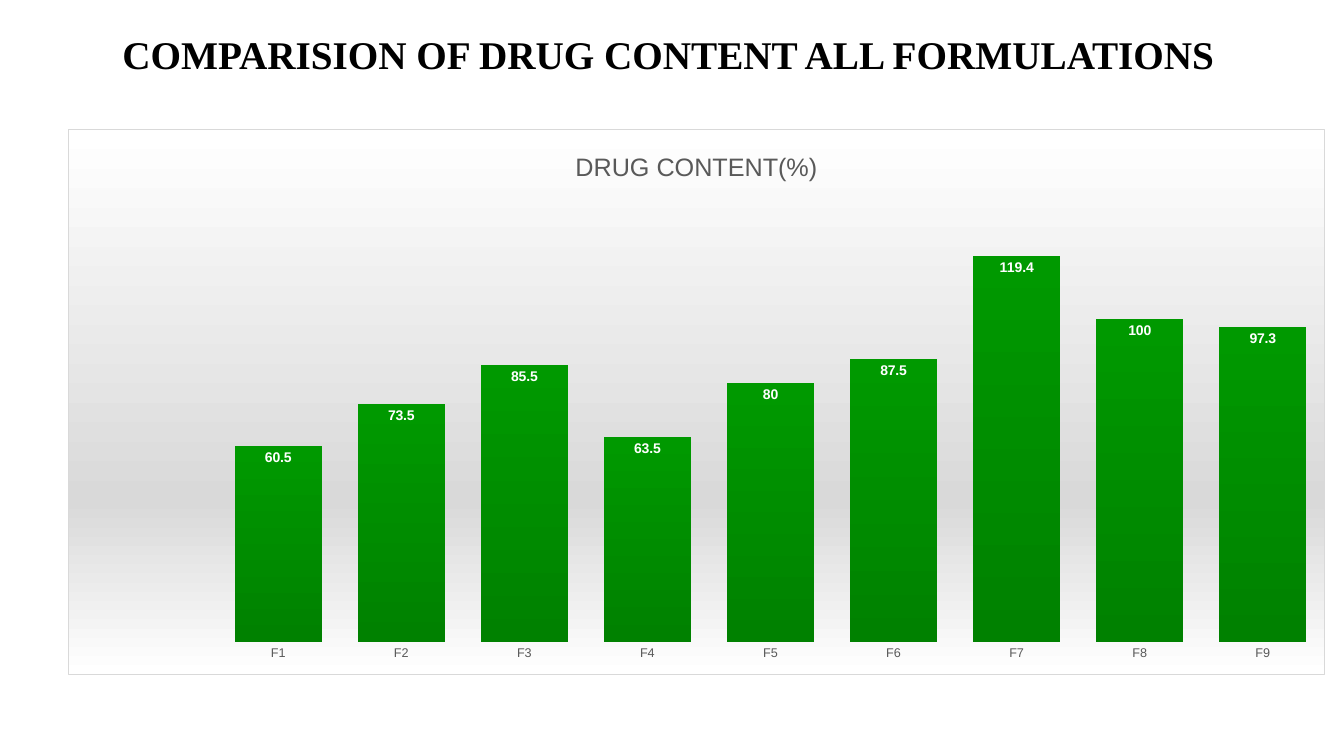
from lxml import etree
from pptx import Presentation
from pptx.chart.data import CategoryChartData
from pptx.dml.color import RGBColor
from pptx.enum.chart import XL_CHART_TYPE, XL_LABEL_POSITION, XL_TICK_MARK
from pptx.enum.text import MSO_ANCHOR, MSO_AUTO_SIZE, PP_ALIGN
from pptx.oxml import parse_xml
from pptx.oxml.ns import nsdecls, qn
from pptx.util import Pt

COLUMNS = XL_CHART_TYPE.COLUMN_CLUSTERED
INSIDE_END = XL_LABEL_POSITION.INSIDE_END
NO_TICK = XL_TICK_MARK.NONE
MIDDLE, CENTER = MSO_ANCHOR.MIDDLE, PP_ALIGN.CENTER
NO_AUTOFIT = MSO_AUTO_SIZE.NONE
WIDTH, HEIGHT = 1344, 756
PX = 12192000 / WIDTH


def style(font, size, color, name="Arial", bold=False):
    font.size, font.name, font.bold = Pt(size), name, bold
    font.color.rgb = RGBColor.from_string(color)


def write(frame, text, **look):
    paragraph = frame.paragraphs[0]
    paragraph.alignment = CENTER
    run = paragraph.add_run()
    run.text = text
    style(run.font, **look)


prs = Presentation()
prs.slide_width, prs.slide_height = round(WIDTH * PX), round(HEIGHT * PX)
slide = prs.slides.add_slide(prs.slide_layouts[5])

# Heading
heading = slide.shapes.title
heading.left, heading.top, heading.width, heading.height = [
    round(n * PX) for n in (68, 21, 1210, 65)]
heading.text_frame.word_wrap = True
heading.text_frame.auto_size = NO_AUTOFIT
heading.text_frame.vertical_anchor = MIDDLE
write(heading.text_frame, "COMPARISION OF DRUG CONTENT ALL FORMULATIONS ",
      size=28, color="000000", name="Times New Roman", bold=True)

# Drug content of each formulation; the first category is blank
contents = [None, 60.5, 73.5, 85.5, 63.5, 80, 87.5, 119.4, 100, 97.3]
drug_data = CategoryChartData()
drug_data.categories = [""] + [f"F{n}" for n in range(1, len(contents))]
drug_data.add_series("DRUG CONTENT(%)", contents)
chart = slide.shapes.add_chart(
    COLUMNS, *[round(n * PX) for n in (68, 129, 1257, 546)], drug_data).chart
style(chart.font, 10, "000000")
chart.has_legend = False
chart.has_title = True
write(chart.chart_title.text_frame, "DRUG CONTENT(%)", size=18, color="595959")
chart.chart_title.include_in_layout = False

# Axes
formulations, percent = chart.category_axis, chart.value_axis
formulations.major_tick_mark = formulations.minor_tick_mark = NO_TICK
formulations.format.line.fill.background()
style(formulations.tick_labels.font, 9, "595959")
percent.minimum_scale, percent.maximum_scale = 0, 140
percent.has_major_gridlines = False
percent.visible = False

# Bars and their labels
bars = chart.plots[0]
bars.gap_width = 41
bars.vary_by_categories = False
bars.has_data_labels = True
labels = bars.data_labels
labels.show_value = True
labels.position = INSIDE_END
style(labels.font, 10, "FFFFFF", bold=True)
drug_fill = bars.series[0].format.fill
drug_fill.gradient()
drug_fill.gradient_angle = 270
for stop, color in zip(drug_fill.gradient_stops, ("009900", "008100")):
    stop.color.rgb = RGBColor.from_string(color)
for stop, position in zip(drug_fill.gradient_stops, (0, 1)):
    stop.position = position

# Chart background: three-stop gradient with a thin border
stops = "".join(
    f'<a:gs pos="{percent_along * 1000}"><a:srgbClr val="{color}"/></a:gs>'
    for percent_along, color in ((0, "FFFFFF"), (68, "D9D9D9"), (100, "FFFFFF")))
chart_element = chart.element.find(qn("c:chart"))
chart_element.addnext(parse_xml(
    f'<c:spPr {nsdecls("c", "a")}><a:gradFill><a:gsLst>{stops}</a:gsLst>'
    f'<a:lin ang="5400000" scaled="0"/></a:gradFill><a:ln w="{Pt(0.75)}">'
    '<a:solidFill><a:srgbClr val="D9D9D9"/></a:solidFill></a:ln></c:spPr>'))

# Plot area position, as fractions of the chart
plot_area = chart_element.find(qn("c:plotArea"))
for old_layout in plot_area.findall(qn("c:layout")):
    plot_area.remove(old_layout)
layout = etree.Element(qn("c:layout"))
manual = etree.SubElement(layout, qn("c:manualLayout"))
for tag, value in (("layoutTarget", "inner"), ("xMode", "edge"), ("yMode", "edge"),
                   ("x", "0.02"), ("y", "0.11"), ("w", "0.98"), ("h", "0.83")):
    etree.SubElement(manual, qn(f"c:{tag}"), val=value)
plot_area.insert(0, layout)

prs.save("out.pptx")
